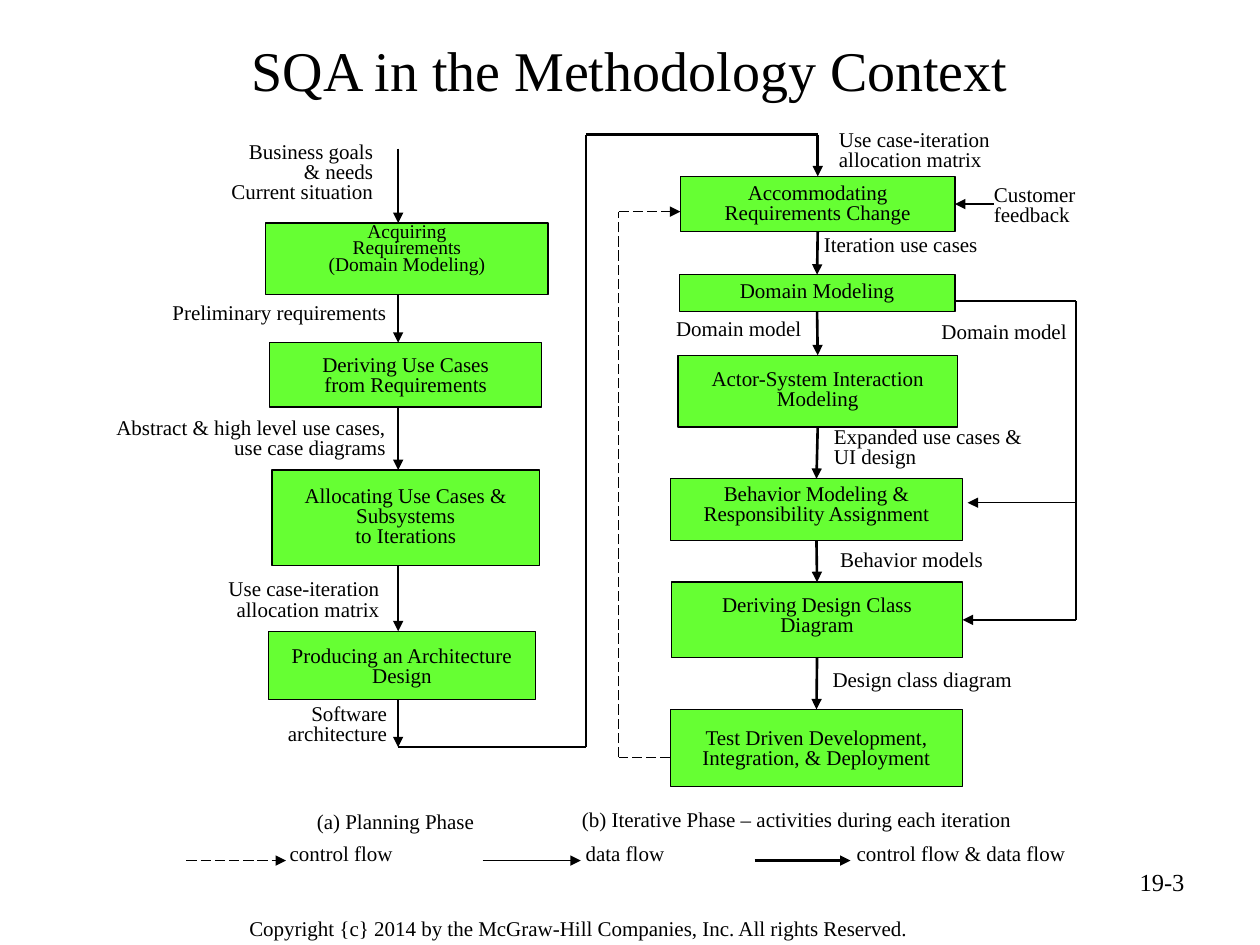
from dataclasses import dataclass
from itertools import pairwise

from lxml import etree
from pptx import Presentation
from pptx.dml.color import RGBColor
from pptx.enum.dml import MSO_LINE
from pptx.enum.shapes import MSO_CONNECTOR, MSO_SHAPE
from pptx.enum.text import MSO_ANCHOR, PP_ALIGN
from pptx.oxml.ns import qn
from pptx.util import Inches, Pt

LEFT, CENTER, RIGHT = PP_ALIGN.LEFT, PP_ALIGN.CENTER, PP_ALIGN.RIGHT
TOP_SIDE, BOTTOM_SIDE, RIGHT_SIDE = 0, 2, 3


@dataclass(frozen=True)
class Theme:
    font: str = "Times New Roman"
    ink: RGBColor = RGBColor(0, 0, 0)
    activity: RGBColor = RGBColor(0x66, 0xFF, 0x33)
    title: float = 32
    number: float = 14
    body: float = 12
    small: float = 11.1
    thin: float = 0.75
    thick: float = 1.5
    tight: float = 0.8


THEME = Theme()
CONTROL = (THEME.thin, MSO_LINE.LONG_DASH)
DATA = (THEME.thin, None)
BOTH = (THEME.thick, None)

# text, left, top, width, height, space above the text
PLANNING = [
    ("Acquiring\nRequirements\n(Domain Modeling)", 2.11, 1.77, 2.24, 0.57, 0.02),
    ("Deriving Use Cases\nfrom Requirements", 2.14, 2.72, 2.16, 0.51, 0.11),
    ("Allocating Use Cases & Subsystems\nto Iterations", 2.16, 3.73, 2.12, 0.76, 0.14),
    ("Producing an Architecture Design", 2.13, 5.01, 2.12, 0.54, 0.13),
]
ITERATION = [
    ("Accommodating\nRequirements Change", 5.4, 1.4, 2.18, 0.44, 0.06),
    ("Domain Modeling", 5.39, 2.18, 2.19, 0.29, 0.06),
    ("Actor-System Interaction Modeling", 5.38, 2.82, 2.22, 0.57, 0.12),
    ("Behavior Modeling &\nResponsibility Assignment", 5.32, 3.8, 2.32, 0.49, 0.05),
    ("Deriving Design Class\nDiagram", 5.33, 4.62, 2.31, 0.6, 0.11),
    ("Test Driven Development, Integration, & Deployment", 5.32, 5.63, 2.32, 0.61, 0.16),
]
# text, left, top, width, height, alignment
LABELS = [
    ("Business goals\n& needs\nCurrent situation", 1.38, 1.09, 1.68, 0.76, RIGHT),
    ("Preliminary requirements", 1.27, 2.37, 1.94, 0.32, LEFT),
    ("Abstract & high level use cases, use case diagrams", 0.72, 3.28, 2.44, 0.53, RIGHT),
    ("Use case-iteration allocation matrix", 1.1, 4.56, 2.01, 0.55, RIGHT),
    ("Software architecture", 1.82, 5.55, 1.35, 0.53, RIGHT),
    ("Use case-iteration allocation matrix", 6.56, 0.99, 2.01, 0.55, LEFT),
    ("Customer\nfeedback", 7.79, 1.43, 1.18, 0.61, LEFT),
    ("Iteration use cases", 6.44, 1.83, 2.02, 0.35, LEFT),
    ("Domain model", 4.96, 2.49, 1.5, 0.28, RIGHT),
    ("Domain model", 7.22, 2.52, 1.5, 0.28, CENTER),
    ("Expanded use cases & UI design", 6.52, 3.35, 1.89, 0.54, LEFT),
    ("Behavior models", 6.57, 4.33, 1.4, 0.31, LEFT),
    ("Design class diagram", 6.51, 5.28, 2.57, 0.35, LEFT),
    ("(a) Planning Phase", 2.01, 6.41, 2.26, 0.35, CENTER),
    ("(b) Iterative Phase – activities during each iteration", 4.52, 6.39, 4.65, 0.35, LEFT),
]
# text, text left, arrow start, arrow end, style
LEGEND = [
    ("control flow", 2.2, 1.48, 2.27, CONTROL),
    ("data flow", 4.55, 3.83, 4.61, DATA),
    ("control flow & data flow", 6.7, 5.99, 6.75, BOTH),
]


def write(tf, text, size=THEME.body, align=LEFT, spacing=THEME.tight):
    tf.word_wrap = True
    for i, line in enumerate(text.split("\n")):
        p = tf.add_paragraph() if i else tf.paragraphs[0]
        p.alignment = align
        p.line_spacing = spacing
        p.space_before = Pt(0)
        r = p.add_run()
        r.text = line
        r.font.name = THEME.font
        r.font.size = Pt(size)
        r.font.color.rgb = THEME.ink


def add_label(s, text, left, top, width, height, align=LEFT, **fmt):
    box = s.shapes.add_textbox(*map(Inches, (left, top, width, height)))
    write(box.text_frame, text, align=align, **fmt)


def add_activity(s, text, left, top, width, height, inset, **fmt):
    sp = s.shapes.add_shape(MSO_SHAPE.RECTANGLE, *map(Inches, (left, top, width, height)))
    sp.shadow.inherit = False
    sp.fill.solid()
    sp.fill.fore_color.rgb = THEME.activity
    sp.line.color.rgb = THEME.ink
    sp.line.width = Pt(THEME.thin)
    tf = sp.text_frame
    tf.vertical_anchor = MSO_ANCHOR.TOP
    tf.margin_top = Inches(inset)
    tf.margin_left = tf.margin_right = tf.margin_bottom = 0
    write(tf, text, align=CENTER, **fmt)
    return sp


def add_line(s, start, end, style, arrow):
    line = s.shapes.add_connector(MSO_CONNECTOR.STRAIGHT, *map(Inches, (*start, *end)))
    width, dash = style
    line.line.color.rgb = THEME.ink
    line.line.width = Pt(width)
    if dash:
        line.line.dash_style = dash
    sp_pr = line._element.spPr
    if arrow:
        etree.SubElement(sp_pr.find(qn("a:ln")), qn("a:tailEnd"), type="triangle")
    etree.SubElement(sp_pr, qn("a:effectLst"))
    return line


def add_route(s, points, style, target=None):
    """Draw a line through the points, with an arrowhead at the last one.

    target is the (shape, side) that the last piece is joined to.
    """
    pieces = list(pairwise(points))
    for i, (start, end) in enumerate(pieces, 1):
        line = add_line(s, start, end, style, arrow=i == len(pieces))
    if target:
        line.end_connect(*target)


def add_title(s, text):
    title = s.shapes.title
    title.left, title.top, title.width, title.height = map(Inches, (0.5, 0.17, 9, 0.75))
    title.text_frame.vertical_anchor = MSO_ANCHOR.MIDDLE
    write(title.text_frame, text, size=THEME.title, align=CENTER, spacing=1)


def add_planning_phase(s):
    for i, activity in enumerate(PLANNING):
        fmt = {} if i else {"size": THEME.small, "spacing": 0.7}
        add_activity(s, *activity, **fmt)
    x = 3.16
    tops = [top for _, _, top, *_ in PLANNING] + [5.93]
    bottoms = [1.18] + [top + height for _, _, top, _, height, _ in PLANNING]
    for start, end in zip(bottoms, tops):
        add_route(s, [(x, start), (x, end)], BOTH)


def add_iterative_phase(s):
    boxes = [add_activity(s, *activity) for activity in ITERATION]
    for upper, lower in pairwise(boxes):
        line = add_line(s, (6.49, 1.84), (6.49, 2.18), BOTH, arrow=True)
        line.begin_connect(upper, BOTTOM_SIDE)
        line.end_connect(lower, TOP_SIDE)
    first, design = boxes[0], boxes[4]
    add_line(s, (3.16, 5.93), (4.65, 5.93), BOTH, arrow=False)
    add_route(s, [(4.65, 5.93), (4.65, 1.07), (6.49, 1.07), (6.49, 1.4)], BOTH, (first, TOP_SIDE))
    add_route(s, [(5.32, 6.01), (4.91, 6.01), (4.91, 1.68), (5.4, 1.68)], CONTROL)
    add_route(s, [(7.89, 1.62), (7.58, 1.62)], DATA, (first, RIGHT_SIDE))
    add_route(s, [(7.58, 2.39), (8.54, 2.39), (8.54, 4.92), (7.64, 4.92)], DATA, (design, RIGHT_SIDE))
    add_route(s, [(8.54, 3.99), (7.68, 3.99)], DATA)


def add_legend(s):
    for text, left, start, end, style in LEGEND:
        add_route(s, [(start, 6.83), (end, 6.83)], style)
        add_label(s, text, left, 6.66, 2.2, 0.35)


def main():
    prs = Presentation()
    prs.slide_width, prs.slide_height = Inches(10), Inches(7.5)
    s = prs.slides.add_slide(prs.slide_layouts[5])
    add_title(s, "SQA in the Methodology Context")
    add_planning_phase(s)
    add_iterative_phase(s)
    for label in LABELS:
        add_label(s, *label)
    add_legend(s)
    add_label(s, "19-3", 7.17, 6.83, 2.33, 0.52, RIGHT, size=THEME.number, spacing=1)
    add_label(s, "Copyright {c} 2014 by the McGraw-Hill Companies, Inc. All rights Reserved.",
              1.88, 7.22, 6.19, 0.31, spacing=1)
    prs.save("out.pptx")


if __name__ == "__main__":
    main()
